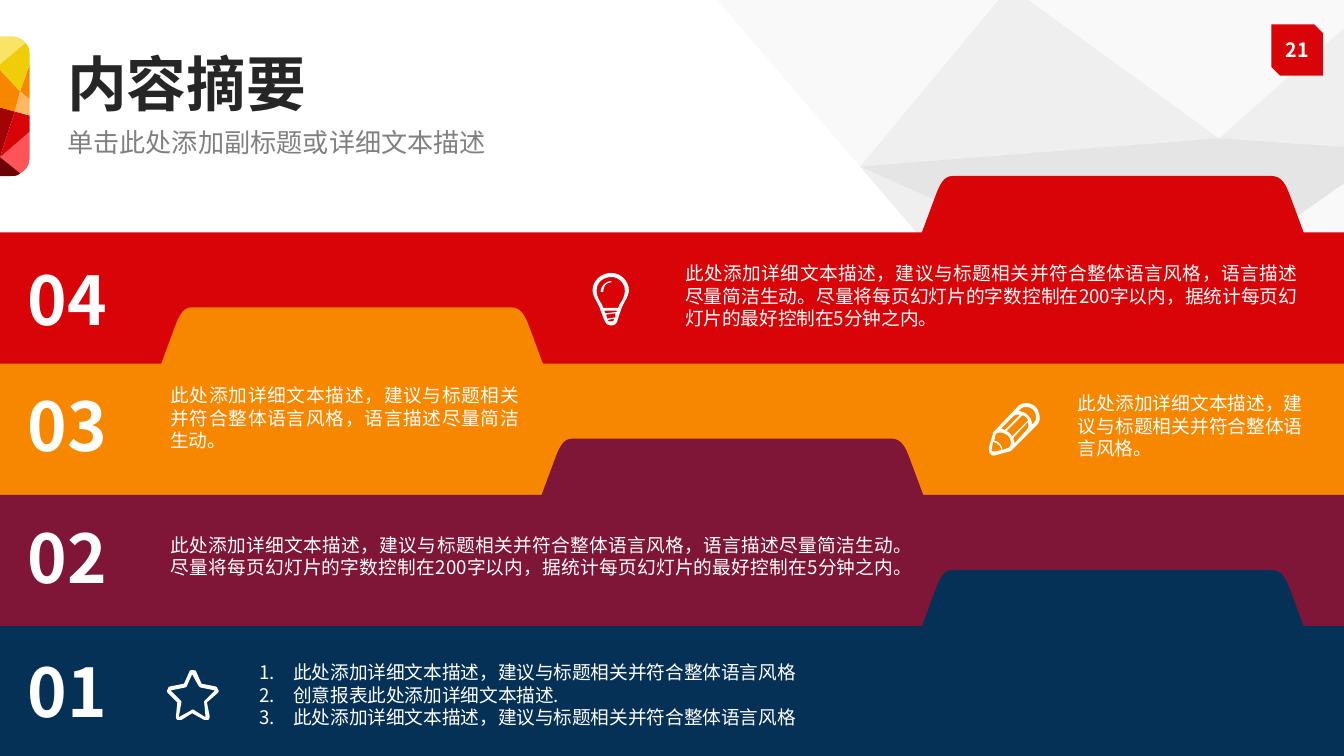
from dataclasses import dataclass

from lxml.etree import SubElement
from pptx import Presentation
from pptx.dml.color import RGBColor
from pptx.enum.shapes import MSO_SHAPE
from pptx.enum.text import MSO_ANCHOR, MSO_AUTO_SIZE, PP_ALIGN
from pptx.oxml.ns import qn
from pptx.util import Cm, Pt


@dataclass(frozen=True)
class Theme:
    font: str = "Noto Sans CJK SC"
    white: str = "FFFFFF"
    ink: str = "262626"
    grey: str = "808080"
    red: str = "D80407"
    orange: str = "F88700"
    wine: str = "801637"
    navy: str = "063157"
    facet_light: str = "F2F2F2"
    facet_mid: str = "D9D9D9"
    facet_dark: str = "BFBFBF"
    title_size: float = 32
    subtitle_size: float = 14
    number_size: float = 36
    body_size: float = 10
    badge_size: float = 10.5


THEME = Theme()
GRID = Cm(25.4) / 1000  # outlines are drawn on a grid 1000 units wide
CURVE_STEPS = 8

# Wording: the longer descriptions extend the shorter ones
OPENING = "此处添加详细文本描述，建议与标题相关并符合整体语言风格"
BRIEF = OPENING + "，语言描述尽量简洁生动。"
FULL = BRIEF + "尽量将每页幻灯片的字数控制在200字以内，据统计每页幻灯片的最好控制在5分钟之内。"

# Translucent facets behind the title
BACKDROP = [
    (THEME.facet_light, "M 907 103 L 750 -10 L 1035 -10"),
    (THEME.facet_mid, "M 907 103 L 1035 -10 L 1035 112"),
    (THEME.facet_mid, "M 751 -10 L 907 103 L 640 124"),
    (THEME.facet_dark, "M 640 124 L 907 103 L 1035 112 L 871 227"),
    (THEME.facet_mid, "M 640 124 L 872 227 L 850 369"),
    (THEME.facet_light, "M 872 227 L 1035 112 L 1035 241"),
    (THEME.facet_light, "M 750 -10 L 640 124 L 525 -10"),
]

# Coloured facets of the gem beside the title
GEM = [
    ("FC5457", "M 22 98 L 0 117 L 15 129 C 19 127 22 123 22 118"),
    ("A20305", "M 11 83 L 0 80 L 0 117"),
    (THEME.red, "M 11 83 L 0 117 L 22 98 L 22 86"),
    ("6C0204", "M 15 129 L 0 117 L 0 131 L 8 131 C 11 131 13 131 15 129"),
    ("F9E468", "M 0 48 L 19 32 C 17 29 13 27 8 27 L 0 27"),
    (THEME.orange, "M 22 48 L 15 68 L 22 74"),
    (THEME.orange, "M 11 83 L 15 68 L 0 52 L 0 80"),
    ("EFCD09", "M 0 52 L 15 68 L 22 48 L 22 40 C 22 37 21 34 19 32 L 0 48"),
    ("FFB762", "M 22 74 L 15 68 L 11 83 L 22 86"),
]

# Icons: outer contour first, then the openings in it
BULB = (
    "M 14 0 C 6 0 0 6 0 13 C 0 18 5 23 6 28 C 9 35 9 39 14 39 "
    "C 19 39 18 35 21 28 C 22 23 27 18 27 13 C 27 6 21 0 14 0 "
    "M 19 26 L 8 26 C 7 24 7 23 6 22 C 4 19 3 16 3 13 C 3 7 8 3 14 3 "
    "C 19 3 24 7 24 13 C 24 16 23 19 21 22 C 20 23 20 24 19 26 "
    "M 14 6 C 10 6 6 10 6 14 L 8 14 C 8 10 10 7 14 7 "
    "M 10 30 C 9 30 9 29 9 28 L 18 28 L 18 29 M 17 33 L 11 34 L 10 31 L 17 30 "
    "M 14 36 C 12 36 12 36 11 35 L 16 34 C 16 36 15 36 14 36"
)
PENCIL = (
    "M 35 3 C 33 1 30 0 28 0 C 25 0 23 1 22 2 L 4 21 C 3 22 3 22 3 23 L 0 33 "
    "C 0 37 1 39 4 39 L 15 36 C 16 36 17 35 17 35 L 36 16 C 39 13 38 7 35 3 "
    "M 34 14 L 32 16 C 32 13 31 11 29 9 C 27 7 24 6 22 6 L 24 4 "
    "C 25 3 26 3 28 3 C 29 3 31 3 33 5 C 34 6 35 8 35 10 C 35 12 35 13 34 14 "
    "M 10 35 C 10 33 9 31 8 30 C 7 29 5 28 4 28 L 5 23 "
    "C 8 21 11 22 14 24 C 17 27 17 31 15 33 "
    "M 5 36 L 4 36 C 3 36 2 36 2 35 L 3 29 C 5 29 6 30 7 31 C 9 32 9 34 9 35 "
    "M 12 20 L 9 19 L 18 10 C 19 9 21 8 23 9 "
    "M 17 25 C 17 24 16 23 16 23 C 15 22 14 21 13 21 L 25 9 C 28 10 29 12 29 13 "
    "M 19 29 L 18 26 L 29 14 C 30 17 29 19 28 20 L 19 30"
)
STAR = (
    "M 38 14 C 38 13 37 12 36 12 L 26 10 L 22 1 C 22 0 21 0 19 0 "
    "C 18 0 17 0 17 1 L 13 10 L 3 12 C 2 12 1 13 1 14 C 0 15 0 16 1 17 "
    "L 8 24 L 7 34 C 7 35 7 36 8 37 C 9 37 10 37 11 37 L 19 32 L 28 37 "
    "C 29 37 30 37 31 37 C 32 36 32 35 32 34 L 30 24 L 38 17 C 39 16 39 15 38 14 "
    "M 29 22 C 28 23 28 23 28 24 L 29 35 L 21 30 C 20 29 19 29 18 30 L 9 35 "
    "L 11 24 C 11 23 11 23 10 22 L 3 15 L 13 13 C 14 13 15 12 15 12 "
    "L 19 3 L 24 12 C 24 12 25 13 26 13 L 36 15"
)


def bezier(p0, p1, p2, p3):
    """Points along a cubic curve, after its start."""
    for step in range(1, CURVE_STEPS + 1):
        t = step / CURVE_STEPS
        s = 1 - t
        yield tuple(s**3 * a + 3 * s * s * t * b + 3 * s * t * t * c + t**3 * d
                    for a, b, c, d in zip(p0, p1, p2, p3))


def contours(commands):
    """Turn M, L and C commands into lists of points."""
    tokens = iter(commands.split())
    found = []

    def point():
        return float(next(tokens)), float(next(tokens))

    for command in tokens:
        if command == "M":
            found.append([point()])
        elif command == "L":
            found[-1].append(point())
        else:
            found[-1].extend(bezier(found[-1][-1], point(), point(), point()))
    return found


def paint(shape, colour, opacity=None):
    shape.shadow.inherit = False
    shape.line.fill.background()
    shape.fill.solid()
    shape.fill.fore_color.rgb = RGBColor.from_string(colour)
    if opacity:
        tint = shape.fill._xPr.find(qn("a:solidFill"))[0]
        SubElement(tint, qn("a:alpha"), val=str(opacity * 1000))


def add_outline(slide, commands, colour, left=0, top=0, opacity=None):
    rings = [[(x * GRID, y * GRID) for x, y in ring] for ring in contours(commands)]
    builder = slide.shapes.build_freeform(*rings[0][0])
    builder.add_line_segments(rings[0][1:], close=True)
    for ring in rings[1:]:
        builder.move_to(*ring[0])
        builder.add_line_segments(ring[1:], close=True)
    paint(builder.convert_to_shape(left, top), colour, opacity)


def add_band(slide, top, tab_left, colour):
    """Full-width band with a folder tab rising from its upper edge."""
    tab_right = tab_left + 284
    base, bottom = top + 42, top + 140
    add_outline(slide, (
        f"M 0 {bottom} L 1000 {bottom} L 1000 {base} L {tab_right} {base} "
        f"L {tab_right - 10} {top + 15} "
        f"C {tab_right - 13} {top + 7} {tab_right - 16} {top} {tab_right - 24} {top} "
        f"L {tab_left + 23} {top} "
        f"C {tab_left + 16} {top} {tab_left + 13} {top + 7} {tab_left + 10} {top + 15} "
        f"L {tab_left} {base} L 0 {base}"), colour)


def write(paragraph, text, size, colour=THEME.white, bold=False, align=PP_ALIGN.LEFT):
    paragraph.alignment = align
    run = paragraph.add_run()
    run.text = text
    font = run.font
    font.name, font.size, font.bold = THEME.font, Pt(size), bold
    font.color.rgb = RGBColor.from_string(colour)
    SubElement(run._r.get_or_add_rPr(), qn("a:ea"), typeface=THEME.font)


def add_text(slide, box, text, size, **style):
    frame = slide.shapes.add_textbox(*map(Cm, box)).text_frame
    frame.word_wrap = True
    frame.auto_size = MSO_AUTO_SIZE.SHAPE_TO_FIT_TEXT
    write(frame.paragraphs[0], text, size, **style)


def place(slide, holder, box, anchor=MSO_ANCHOR.MIDDLE, inset=True):
    """Move a placeholder to its box, in front of what is already drawn."""
    holder.left, holder.top, holder.width, holder.height = map(Cm, box)
    slide.shapes._spTree.append(holder._element)
    frame = holder.text_frame
    frame.word_wrap, frame.auto_size = True, MSO_AUTO_SIZE.NONE
    frame.vertical_anchor = anchor
    if not inset:
        frame.margin_left = frame.margin_right = 0
        frame.margin_top = frame.margin_bottom = 0
    return frame


def set_bullet(paragraph, kind, indent=0, **settings):
    properties = paragraph._p.get_or_add_pPr()
    properties.set("marL", str(indent))
    properties.set("indent", str(-indent))
    SubElement(properties, qn(kind), **settings)


def add_heading(slide, title, subtitle):
    frame = place(slide, title, (1.27, 1.09, 13.34, 1.12), inset=False)
    frame.paragraphs[0].line_spacing = 0.9
    write(frame.paragraphs[0], "内容摘要", THEME.title_size, THEME.ink, True)
    frame = place(slide, subtitle, (1.27, 2.49, 8.13, 0.48), inset=False)
    set_bullet(frame.paragraphs[0], "a:buNone")
    frame.paragraphs[0].line_spacing = 0.9
    frame.paragraphs[0].space_before = Pt(0)
    write(frame.paragraphs[0], "单击此处添加副标题或详细文本描述", THEME.subtitle_size, THEME.grey)


def add_badge(slide, number):
    badge = slide.shapes.add_shape(
        MSO_SHAPE.SNIP_2_DIAG_RECTANGLE, Cm(24.03), Cm(0.46), Cm(0.97), Cm(0.97))
    paint(badge, THEME.red)
    badge.text_frame.word_wrap = False
    badge.text_frame.vertical_anchor = MSO_ANCHOR.MIDDLE
    write(badge.text_frame.paragraphs[0], number, THEME.badge_size,
          bold=True, align=PP_ALIGN.CENTER)


def add_numbered_list(slide, holder, box, items):
    frame = place(slide, holder, box, MSO_ANCHOR.TOP)
    for index, item in enumerate(items):
        paragraph = frame.add_paragraph() if index else frame.paragraphs[0]
        set_bullet(paragraph, "a:buFont", Cm(0.64), typeface="+mj-lt")
        set_bullet(paragraph, "a:buAutoNum", Cm(0.64), type="arabicPeriod")
        paragraph.space_before = Pt(0)
        write(paragraph, item, THEME.body_size, align=PP_ALIGN.JUSTIFY)


def main():
    deck = Presentation()
    deck.slide_width, deck.slide_height = Cm(25.4), Cm(14.29)
    slide = deck.slides.add_slide(deck.slide_layouts.get_by_name("Two Content"))
    title, subtitle, steps = slide.placeholders

    # Backdrop and heading
    for colour, facet in BACKDROP:
        add_outline(slide, facet, colour, opacity=40)
    add_badge(slide, "21")
    add_heading(slide, title, subtitle)
    for colour, facet in GEM:
        add_outline(slide, facet, colour)

    # Bands, from back to front, with their tab column and number position
    bands = [("04", THEME.red, 2, 4.75), ("03", THEME.orange, 0, 7.14),
             ("02", THEME.wine, 1, 9.63), ("01", THEME.navy, 2, 12.17)]
    for row, (number, colour, column, number_top) in enumerate(bands):
        add_band(slide, 131 + 97.7 * row, 120 + 283 * column, colour)
        add_text(slide, (0.28, number_top, 2.69, 1.8), number, THEME.number_size, bold=True)

    # Descriptions
    for box, text in [((12.7, 4.83, 12.07, 1.55), FULL),
                      ((2.97, 7.14, 7.09, 1.55), BRIEF),
                      ((20.12, 7.29, 4.75, 1.55), OPENING + "。"),
                      ((2.97, 9.96, 14.17, 1.55), FULL)]:
        add_text(slide, box, text, THEME.body_size, align=PP_ALIGN.JUSTIFY)
    add_numbered_list(slide, steps, (4.65, 12.37, 14.17, 1.55),
                      [OPENING, "创意报表此处添加详细文本描述.", OPENING])

    # Icons
    for icon, left, top in [(BULB, 11.2, 5.16), (PENCIL, 18.69, 7.62), (STAR, 3.15, 12.67)]:
        add_outline(slide, icon, THEME.white, Cm(left), Cm(top))

    deck.save("out.pptx")


if __name__ == "__main__":
    main()
